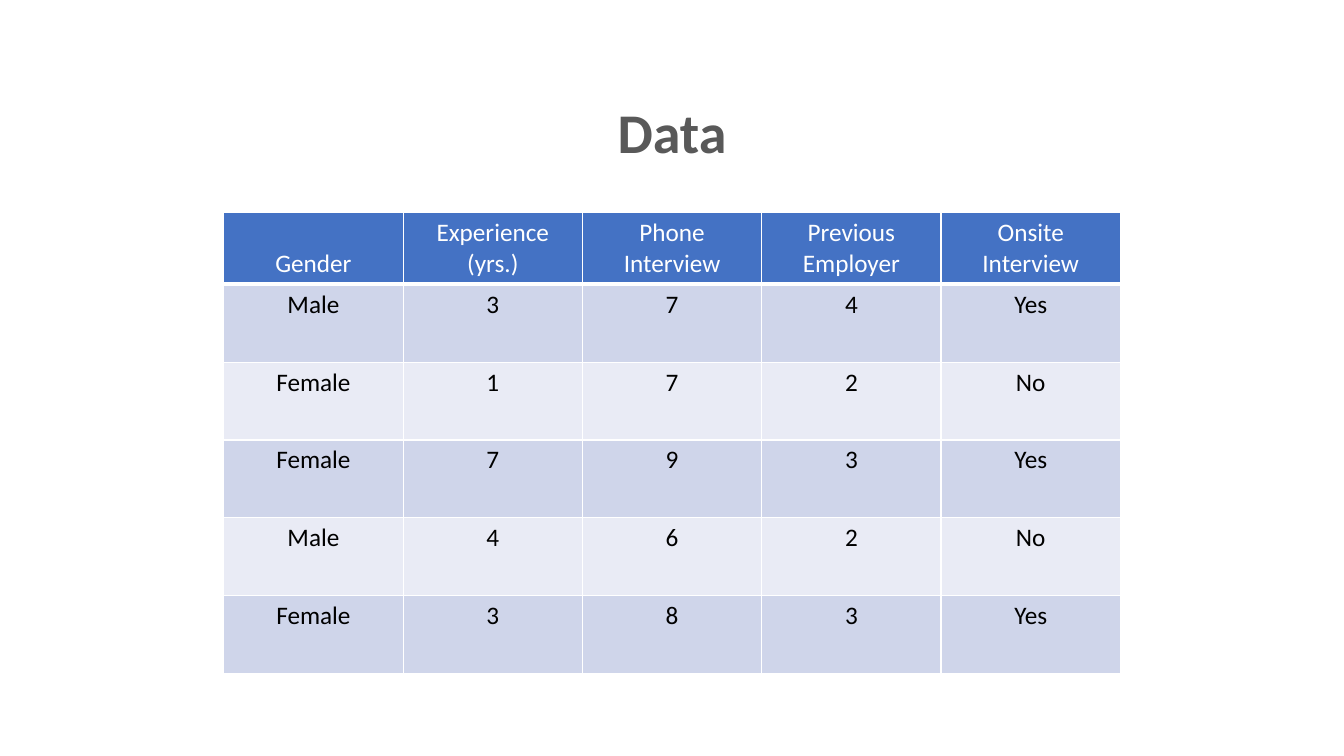
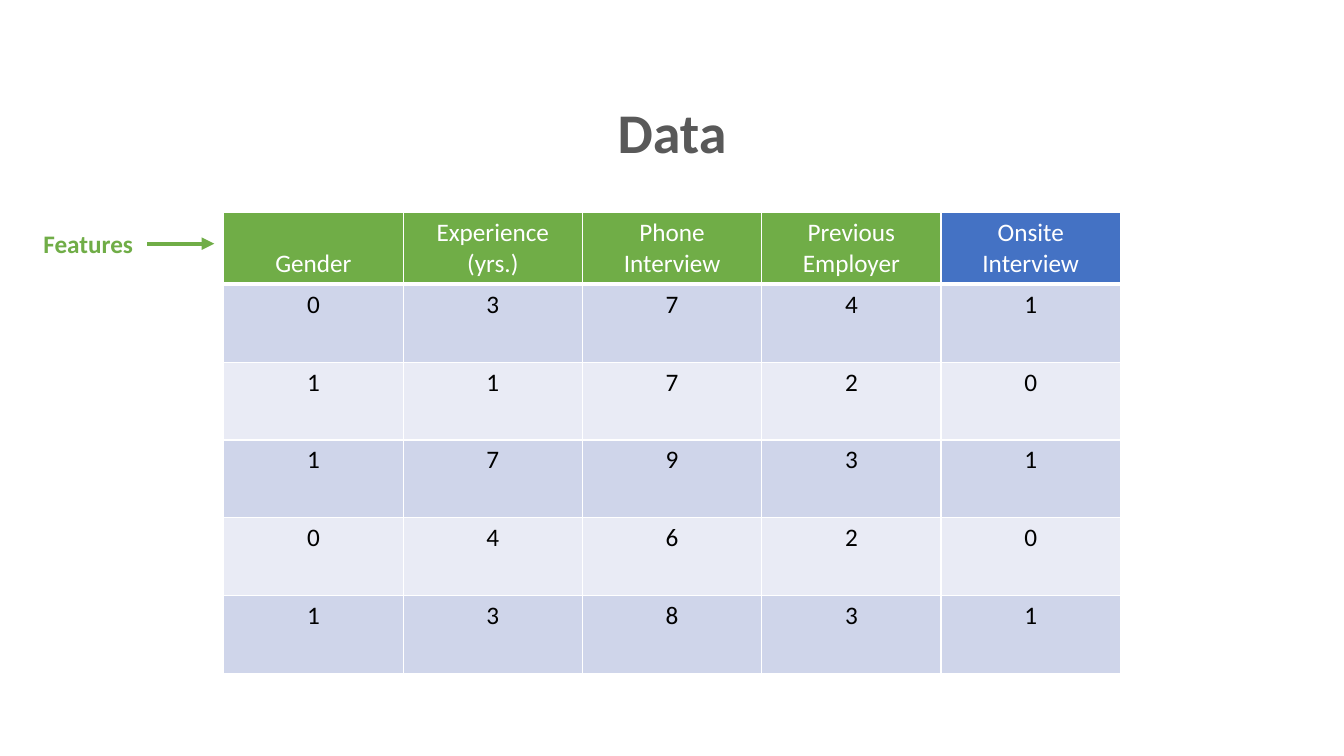
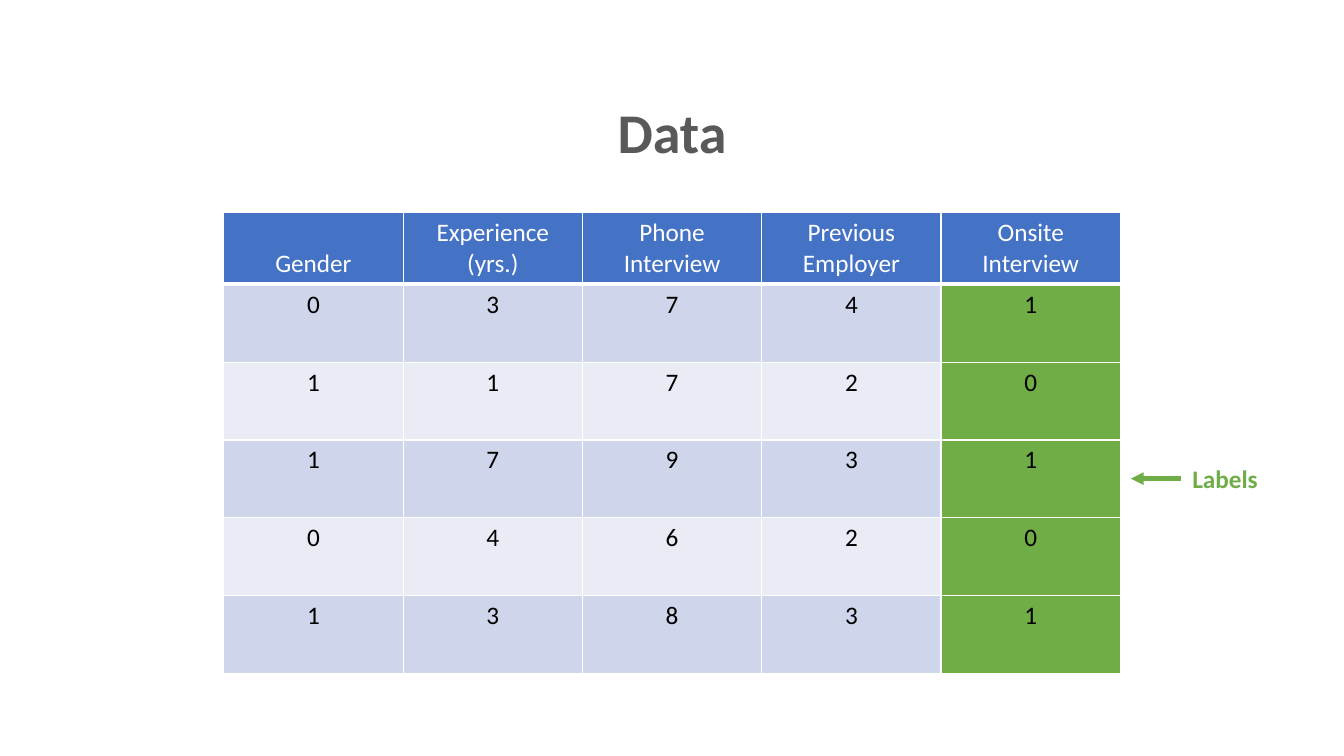
from lxml.etree import SubElement
from pptx import Presentation
from pptx.dml.color import RGBColor
from pptx.enum.shapes import MSO_CONNECTOR
from pptx.enum.text import MSO_ANCHOR, MSO_AUTO_SIZE, PP_ALIGN
from pptx.oxml import parse_xml
from pptx.oxml.ns import nsdecls, qn
from pptx.util import Cm, Pt

FONT = "Calibri"
WHITE, BLACK, GREY = "FFFFFF", "000000", "595959"
BLUE, GREEN = "4472C4", "70AD47"
BANDS = ("CFD5EA", "E9EBF5")

TABLE_LEFT, TABLE_TOP = 5.64, 5.36
COLUMN_WIDTH, HEADER_HEIGHT, ROW_HEIGHT = 4.52, 1.8, 1.96
LABEL_WIDTH, LABEL_HEIGHT = 2.77, 1.02

HEADERS = ("Gender", "Experience\n(yrs.)", "Phone Interview",
           "Previous Employer", "Onsite Interview")
CANDIDATES = (
    ("Male", 3, 7, 4, "Yes"),
    ("Female", 1, 7, 2, "No"),
    ("Female", 7, 9, 3, "Yes"),
    ("Male", 4, 6, 2, "No"),
    ("Female", 3, 8, 3, "Yes"),
)
CODES = {"Male": 0, "Female": 1, "Yes": 1, "No": 0}


def rgb(value):
    """Turn a hex string into a colour."""
    return RGBColor.from_string(value)


def write(frame, text, size, color, bold=False):
    """Fill a text frame with centred paragraphs, one per line of text."""
    for index, line in enumerate(text.split("\n")):
        paragraph = frame.add_paragraph() if index else frame.paragraphs[0]
        paragraph.alignment = PP_ALIGN.CENTER
        run = paragraph.add_run()
        run.text = line
        run.font.name = FONT
        run.font.size = Pt(size)
        run.font.bold = bold
        run.font.color.rgb = rgb(color)


def add_titled_slide(deck, text):
    """Add a title-only slide with the shared title style."""
    slide = deck.slides.add_slide(deck.slide_layouts[5])
    title = slide.shapes.title
    title.left, title.top = Cm(11.46), Cm(1.7)
    title.width, title.height = Cm(10.95), Cm(3.2)
    title.text_frame.auto_size = MSO_AUTO_SIZE.NONE
    title.text_frame.vertical_anchor = MSO_ANCHOR.MIDDLE
    write(title.text_frame, text, 40, GREY, bold=True)
    return slide


def set_borders(cell, bottom):
    """Draw white cell borders, with the bottom one in the given points."""
    properties = cell._tc.get_or_add_tcPr()
    widths = {"lnL": 1, "lnR": 1, "lnT": 1, "lnB": bottom}
    for position, (side, width) in enumerate(widths.items()):
        properties.insert(position, parse_xml(
            f'<a:{side} {nsdecls("a")} w="{Pt(width)}"><a:solidFill>'
            f'<a:srgbClr val="{WHITE}"/></a:solidFill></a:{side}>'))


def add_data_table(slide, records, fill_at):
    """Add the candidate table, asking fill_at(row, column) for each fill."""
    rows = (HEADERS, *records)
    height = HEADER_HEIGHT + ROW_HEIGHT * len(records)
    table = slide.shapes.add_table(
        len(rows), len(HEADERS), Cm(TABLE_LEFT), Cm(TABLE_TOP),
        Cm(COLUMN_WIDTH * len(HEADERS)), Cm(height)).table
    for column in table.columns:
        column.width = Cm(COLUMN_WIDTH)
    for r, values in enumerate(rows):
        is_header = r == 0
        table.rows[r].height = Cm(HEADER_HEIGHT if is_header else ROW_HEIGHT)
        for c, value in enumerate(values):
            cell = table.cell(r, c)
            cell.fill.solid()
            cell.fill.fore_color.rgb = rgb(fill_at(r, c))
            cell.vertical_anchor = MSO_ANCHOR.BOTTOM if is_header else MSO_ANCHOR.TOP
            set_borders(cell, bottom=3 if is_header else 1)
            write(cell.text_frame, str(value), 18, WHITE if is_header else BLACK)


def add_callout(slide, text, left, middle, arrow_from, arrow_to):
    """Add a green label and a level arrow, both centred on one height."""
    label = slide.shapes.add_textbox(
        Cm(left), Cm(middle - LABEL_HEIGHT / 2), Cm(LABEL_WIDTH), Cm(LABEL_HEIGHT))
    label.text_frame.word_wrap = False
    write(label.text_frame, text, 18, GREEN, bold=True)
    arrow = slide.shapes.add_connector(
        MSO_CONNECTOR.STRAIGHT, Cm(arrow_from), Cm(middle), Cm(arrow_to), Cm(middle))
    arrow.line.color.rgb = rgb(GREEN)
    arrow.line.width = Pt(3)
    SubElement(arrow.line._get_or_add_ln(), qn("a:tailEnd"), type="triangle")
    SubElement(arrow._element.spPr, qn("a:effectLst"))


def plain_fill(row, column):
    """Give the blue header and the banded body."""
    return BANDS[(row - 1) % 2] if row else BLUE


def feature_fill(row, column):
    """Mark the headers of the feature columns green."""
    is_feature = row == 0 and column < len(HEADERS) - 1
    return GREEN if is_feature else plain_fill(row, column)


def label_fill(row, column):
    """Mark the values of the last column green."""
    is_label = row > 0 and column == len(HEADERS) - 1
    return GREEN if is_label else plain_fill(row, column)


def main():
    """Build the three data slides."""
    deck = Presentation()
    deck.slide_width, deck.slide_height = Cm(33.87), Cm(19.05)
    encoded = [[CODES.get(value, value) for value in record] for record in CANDIDATES]

    raw = add_titled_slide(deck, "Data")
    add_data_table(raw, CANDIDATES, plain_fill)

    features = add_titled_slide(deck, "Data")
    add_data_table(features, encoded, feature_fill)
    add_callout(features, "Features", 0.84, 6.14, 3.71, 5.4)

    labels = add_titled_slide(deck, "Data")
    add_data_table(labels, encoded, label_fill)
    add_callout(labels, "Labels", 29.49, 12.06, 29.77, 28.5)

    deck.save("out.pptx")


if __name__ == "__main__":
    main()
